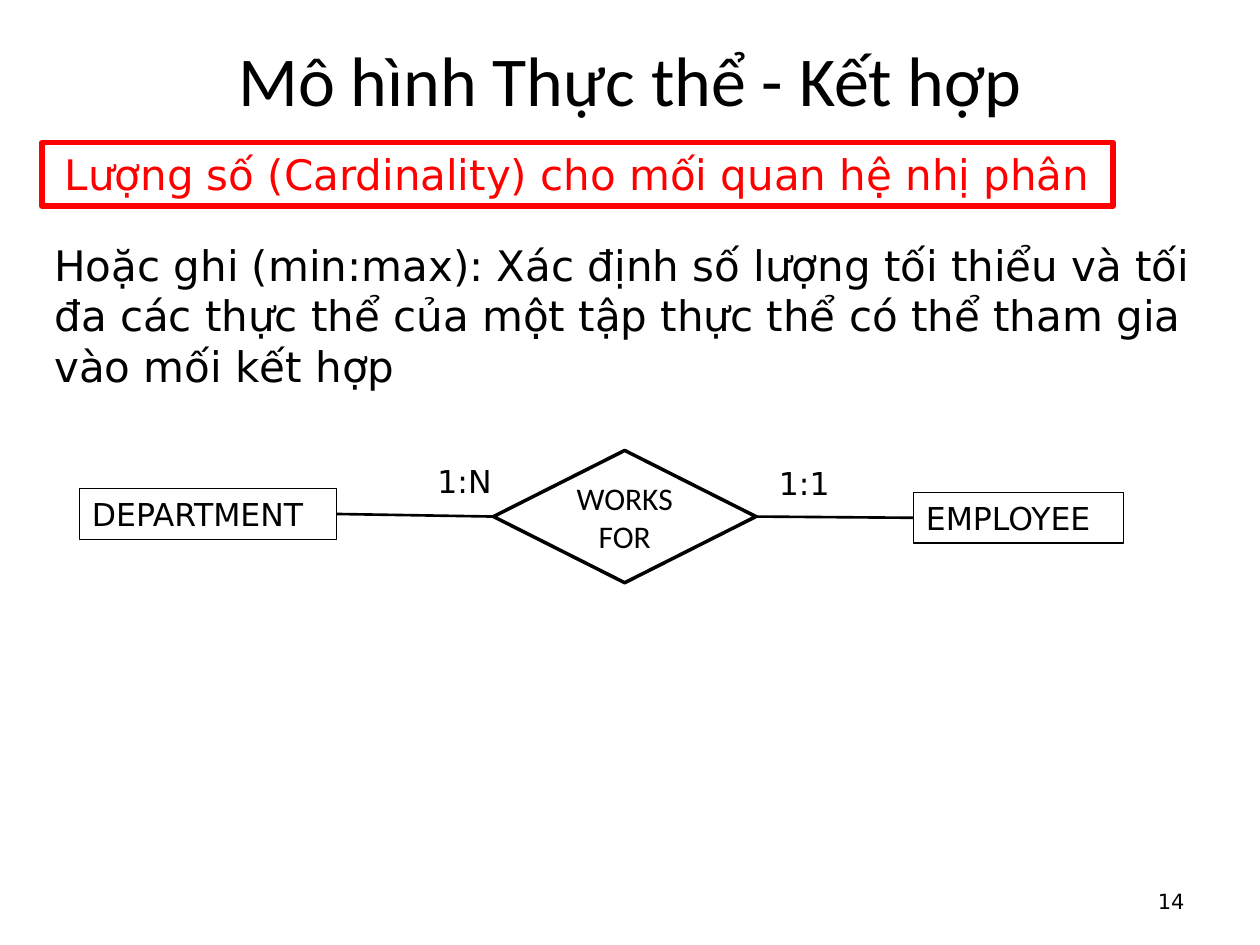
from pptx import Presentation
from pptx.dml.color import RGBColor
from pptx.enum.shapes import MSO_CONNECTOR, MSO_SHAPE
from pptx.enum.text import MSO_ANCHOR, PP_ALIGN
from pptx.oxml.ns import qn
from pptx.util import Pt

RECTANGLE, DIAMOND = MSO_SHAPE.RECTANGLE, MSO_SHAPE.DIAMOND
STRAIGHT = MSO_CONNECTOR.STRAIGHT
TOP, MIDDLE = MSO_ANCHOR.TOP, MSO_ANCHOR.MIDDLE
LEFT, CENTER, RIGHT = PP_ALIGN.LEFT, PP_ALIGN.CENTER, PP_ALIGN.RIGHT
LEFT_SIDE, RIGHT_SIDE = 1, 3


def color(value):
    return RGBColor.from_string(value)


class SlideBuilder:
    heading_font = "Calibri"
    body_font = "DejaVu Sans"
    ink = "000000"
    accent = "FF0000"
    paper = "FFFFFF"

    def __init__(self, deck):
        self.page = deck.slides.add_slide(deck.slide_layouts[6])

    def set_text(self, box, text, size, font, ink, align, anchor):
        frame = box.text_frame
        frame.word_wrap = True
        frame.vertical_anchor = anchor
        frame.margin_left = frame.margin_right = Pt(7.2)
        frame.margin_top = frame.margin_bottom = Pt(3.6)
        frame.text = text
        for para in frame.paragraphs:
            para.alignment = align
            for span in para.runs:
                span.font.size = Pt(size)
                span.font.name = font or self.body_font
                span.font.color.rgb = color(ink or self.ink)

    def text(self, area, text, size, font=None, align=LEFT, anchor=TOP):
        box = self.page.shapes.add_textbox(*map(Pt, area))
        self.set_text(box, text, size, font, None, align, anchor)

    def shape(self, kind, area, text, size=18, weight=0.75, font=None,
              ink=None, fill=None, align=LEFT, anchor=TOP):
        box = self.page.shapes.add_shape(kind, *map(Pt, area))
        box.shadow.inherit = False
        if fill:
            box.fill.solid()
            box.fill.fore_color.rgb = color(fill)
        else:
            box.fill.background()
        box.line.color.rgb = color(ink or self.ink)
        box.line.width = Pt(weight)
        self.set_text(box, text, size, font, ink, align, anchor)
        return box

    def link(self, start, end):
        line = self.page.shapes.add_connector(STRAIGHT, 0, 0, 0, 0)
        line.begin_connect(start, LEFT_SIDE)
        line.end_connect(end, RIGHT_SIDE)
        line.line.color.rgb = color(self.ink)
        line.line.width = Pt(1.5)
        properties = line._element.spPr
        properties.append(properties.makeelement(qn("a:effectLst"), {}))


def main():
    deck = Presentation()
    deck.slide_width, deck.slide_height = Pt(720), Pt(540)
    slide = SlideBuilder(deck)

    slide.text((45, 24, 630, 42), "Mô hình Thực thể - Kết hợp", 40,
               slide.heading_font, CENTER, MIDDLE)
    slide.text((516, 500.4, 168, 28.8), "14", 12, align=RIGHT, anchor=MIDDLE)
    slide.shape(RECTANGLE, (24, 81.5, 612, 36.3),
                "Lượng số (Cardinality) cho mối quan hệ nhị phân", 24, 3,
                ink=slide.accent, fill=slide.paper, align=CENTER)
    slide.text((24, 133.2, 666, 93.6),
               "Hoặc ghi (min:max): Xác định số lượng tối thiểu và tối đa "
               "các thực thể của một tập thực thể có thể tham gia "
               "vào mối kết hợp", 24)

    department = slide.shape(RECTANGLE, (45.4, 279.2, 146.8, 29), "DEPARTMENT")
    employee = slide.shape(RECTANGLE, (522, 281.4, 120, 29), "EMPLOYEE")
    works_for = slide.shape(DIAMOND, (282, 257.4, 150, 75.6), "WORKS\vFOR",
                            weight=2, font=slide.heading_font,
                            align=CENTER, anchor=MIDDLE)
    slide.link(works_for, department)
    slide.link(employee, works_for)
    slide.text((242.9, 260.4, 55.4, 29), "1:N", 18)
    slide.text((438, 261.4, 60, 29), "1:1", 18)

    deck.save("out.pptx")


if __name__ == "__main__":
    main()
